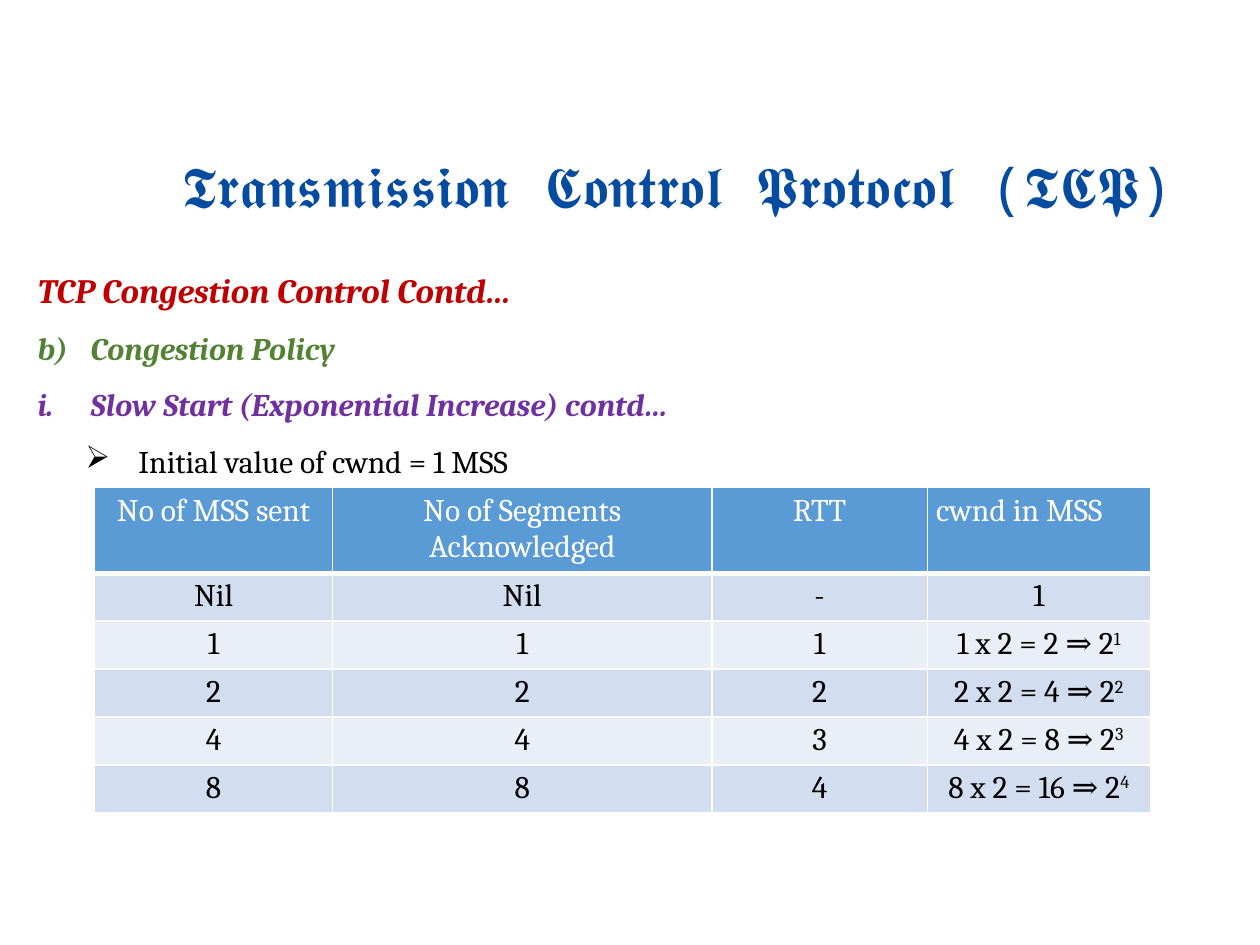
import lxml.etree
import pptx
import pptx.dml.color
import pptx.enum.text
import pptx.oxml.ns
import pptx.util

WIDE, HIGH = 10, 7.5
COLS, ROWS = 100, 75
HUES = {
    "title": "054BA0", "topic": "C00000", "policy": "548235", "phase": "7030A0",
    "ink": "000000", "white": "FFFFFF", "head": "5B9BD5",
    "odd": "D2DEEF", "even": "EAEFF7",
}
ALIGN = pptx.enum.text.PP_ALIGN
HEADS = ["No of MSS sent", "No of Segments Acknowledged", "RTT", "cwnd in MSS"]
STEPS = [(1, 2), (2, 4), (4, 8), (8, 16)]


def hue(name):
    """Return the named colour."""
    return pptx.dml.color.RGBColor.from_string(HUES[name])


def grid(left, top, width, height):
    """Turn grid columns and rows into slide lengths."""
    across, down = WIDE / COLS, HIGH / ROWS
    return [pptx.util.Inches(n * unit)
            for n, unit in zip((left, top, width, height), (across, down) * 2)]


def node(parent, tag, **attrs):
    """Append a drawing element to a parent."""
    child = lxml.etree.SubElement(parent, pptx.oxml.ns.qn("a:" + tag))
    for key, value in attrs.items():
        child.set(key, str(value))
    return child


def write(para, text, size=18, color="ink", face="Cambria", bold=False,
          slant=False, align=None, lines=None, power=None):
    """Write formatted text with an optional raised power."""
    para.alignment = align
    para.line_spacing = lines
    for part, base in ((text, 0), (power, 30000)):
        if part is None:
            continue
        run = para.add_run()
        run.text = str(part)
        font = run.font
        font.size = pptx.util.Pt(size)
        font.name = face
        font.bold, font.italic = bold, slant
        font.color.rgb = hue(color)
        if base:
            run._r.get_or_add_rPr().set("baseline", str(base))


def mark(para, left, tag, **attrs):
    """Give a paragraph a hanging bullet or number."""
    props = para._p.get_or_add_pPr()
    props.set("marL", str(pptx.util.Inches(left)))
    props.set("indent", str(-pptx.util.Inches(0.42)))
    node(props, tag, **attrs)


def frame(slide, place, wrap=True):
    """Add a text box and return its text frame."""
    body = slide.shapes.add_textbox(*grid(*place)).text_frame
    body.word_wrap = wrap
    return body


def outline(slide):
    """Add the numbered outline with its bullet."""
    body = frame(slide, (2, 24.1, 96.1, 14.6))
    items = [
        ("Congestion Policy", "policy", True, 0.42, "buAutoNum",
         {"type": "alphaLcParenR", "startAt": 2}),
        ("Slow Start (Exponential Increase) contd…", "phase", True, 0.42,
         "buAutoNum", {"type": "romanLcPeriod"}),
        ("Initial value of cwnd = 1 MSS", "ink", False, 0.8, "buChar",
         {"char": "➢"}),
    ]
    for index, (text, color, strong, left, tag, attrs) in enumerate(items):
        para = body.add_paragraph() if index else body.paragraphs[0]
        para.level = int(tag == "buChar")
        mark(para, left, tag, **attrs)
        write(para, text, color=color, bold=strong, slant=strong,
              align=ALIGN.JUSTIFY, lines=1.5)


def edge(cell, foot):
    """Draw white borders around a cell."""
    props = cell._tc.get_or_add_tcPr()
    for index, side in enumerate(("lnL", "lnR", "lnT", "lnB")):
        width = pptx.util.Pt(foot if side == "lnB" else 1)
        line = lxml.etree.Element(pptx.oxml.ns.qn("a:" + side), w=str(width))
        node(node(line, "solidFill"), "srgbClr", val=HUES["white"])
        props.insert(index, line)


def fill(cell, text, back, color="ink", power=None, align=ALIGN.CENTER, foot=1):
    """Fill a table cell with text, colour and borders."""
    cell.margin_left = cell.margin_right = pptx.util.Inches(0.07)
    cell.margin_top = cell.margin_bottom = pptx.util.Inches(0.04)
    cell.fill.solid()
    cell.fill.fore_color.rgb = hue(back)
    edge(cell, foot)
    write(cell.text_frame.paragraphs[0], text, color=color, align=align,
          power=power)


def growth(slide):
    """Add the table of window growth per round trip."""
    place = grid(7.5, 38.7, 83.8, 25.5)
    table = slide.shapes.add_table(len(STEPS) + 2, len(HEADS), *place).table
    for col, width in zip(table.columns, (1.89, 3.01, 1.71, 1.77)):
        col.width = pptx.util.Inches(width)
    top = pptx.util.Inches(0.68)
    for index, row in enumerate(table.rows):
        row.height = (place[3] - top) // (len(STEPS) + 1) if index else top
    for col, text in enumerate(HEADS):
        align = ALIGN.LEFT if col == len(HEADS) - 1 else ALIGN.CENTER
        fill(table.cell(0, col), text, "head", "white", align=align, foot=3)
    data = [("Nil", "Nil", "-", "1")]
    data += [(sent, sent, turn, f"{sent} x 2 = {total} ⇒ 2")
             for turn, (sent, total) in enumerate(STEPS, 1)]
    for turn, row in enumerate(data):
        for col, text in enumerate(row):
            power = turn if turn and col == len(HEADS) - 1 else None
            fill(table.cell(turn + 1, col), text, "even" if turn % 2 else "odd",
                 power=power)


def main():
    """Build and save the slide."""
    deck = pptx.Presentation()
    deck.slide_width = pptx.util.Inches(WIDE)
    deck.slide_height = pptx.util.Inches(HIGH)
    slide = deck.slides.add_slide(deck.slide_layouts[6])
    title = frame(slide, (13.4, 11.5, 82.8, 6.6), wrap=False)
    write(title.paragraphs[0], "𝕿𝖗𝖆𝖓𝖘𝖒𝖎𝖘𝖘𝖎𝖔𝖓 𝕮𝖔𝖓𝖙𝖗𝖔𝖑 𝕻𝖗𝖔𝖙𝖔𝖈𝖔𝖑 (𝕿𝕮𝕻)", size=33,
          color="title", face="Noto Sans Mono", align=ALIGN.LEFT)
    topic = frame(slide, (2, 19.3, 39.8, 10.9))
    write(topic.paragraphs[0], "TCP Congestion Control Contd…", size=19.5,
          color="topic", bold=True, slant=True, align=ALIGN.JUSTIFY, lines=1.5)
    outline(slide)
    growth(slide)
    deck.save("out.pptx")


if __name__ == "__main__":
    main()
